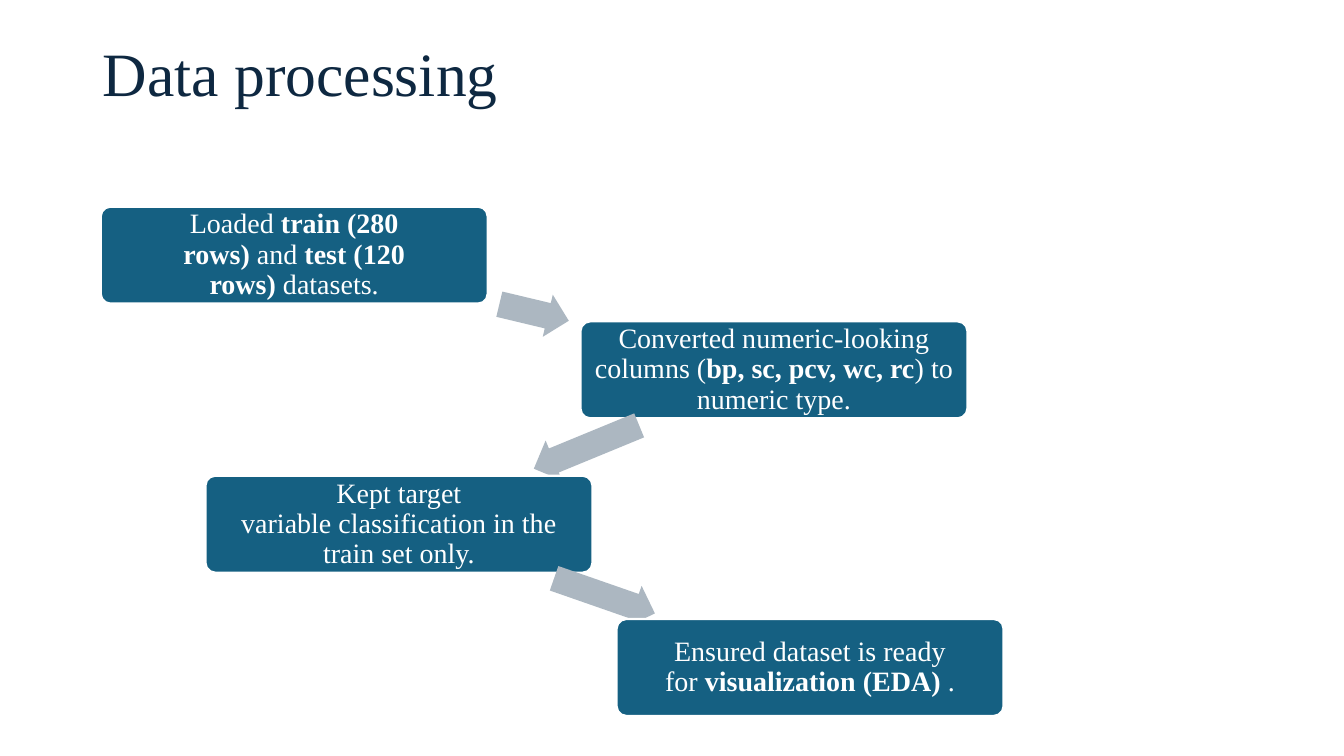
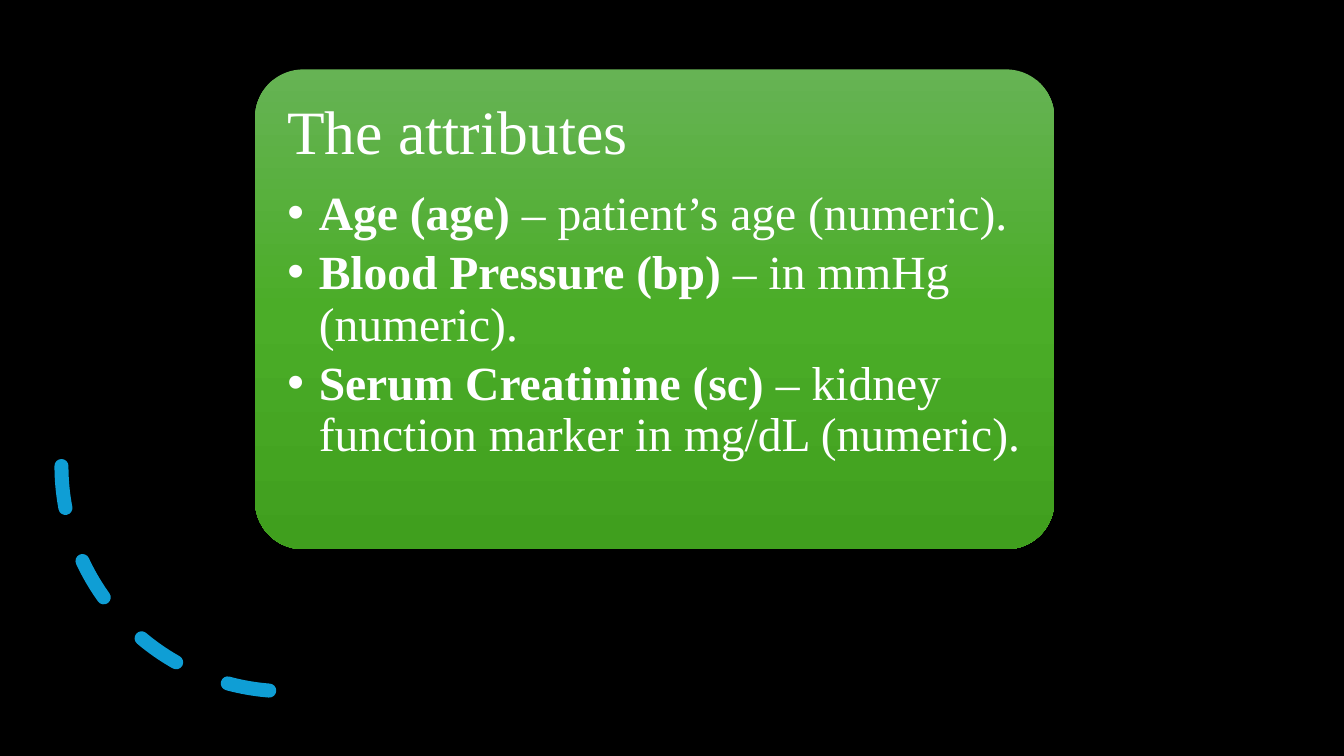
from dataclasses import dataclass
from itertools import pairwise
from math import atan2, degrees

from pptx import Presentation
from pptx.dml.color import RGBColor
from pptx.enum.dml import MSO_LINE
from pptx.enum.shapes import MSO_SHAPE
from pptx.enum.text import MSO_ANCHOR, MSO_AUTO_SIZE, PP_ALIGN
from pptx.oxml import parse_xml
from pptx.oxml.ns import nsdecls, qn
from pptx.util import Cm, Pt


@dataclass(frozen=True)
class Theme:
    font: str = "Times New Roman"
    navy: str = "0E2841"
    teal: str = "156082"
    grey: str = "ACB7C1"
    sky: str = "0F9ED5"
    white: str = "FFFFFF"
    black: str = "000000"
    greens: tuple = ((0, "66B354"), (50, "4BAD28"), (100, "409F1E"))
    title_size: int = 44
    step_size: int = 20
    bullet_size: int = 34
    line_spacing: float = 0.9


THEME = Theme()
PAGE_WIDTH, PAGE_HEIGHT = 33.87, 19.05
HARD_SPACE = chr(160)

STEPS = [
    (2.54, 5.21, [(f"Loaded{HARD_SPACE}", False), ("train (280 rows)", True),
                  (f"{HARD_SPACE}and{HARD_SPACE}", False), ("test (120 rows)", True),
                  (f"{HARD_SPACE}datasets.", False)]),
    (14.63, 8.1, [("Converted numeric-looking columns (", False),
                  ("bp, sc, pcv, wc, rc", True), (") to numeric type.", False)]),
    (5.18, 11.99, [(f"Kept target variable{HARD_SPACE}classification{HARD_SPACE}in "
                    "the train set only.", False)]),
    (15.54, 15.6, [(f"Ensured dataset is ready for{HARD_SPACE}", False),
                   ("visualization (EDA)", True), (f"{HARD_SPACE}.", False)]),
]
STEP_WIDTH, STEP_HEIGHT = 9.75, 2.44
ARROW_LENGTHS = [1.8, 2.87, 2.69]
ARROW_HEIGHT = 1.09

ATTRIBUTES = [
    ("Age (age)", " – patient’s age (numeric)."),
    ("Blood Pressure (bp)", " – in mmHg (numeric)."),
    ("Serum Creatinine (sc)", " – kidney function marker in mg/dL (numeric)."),
]


def color(value):
    return RGBColor.from_string(value)


def set_frame(frame, anchor, side, top):
    frame.word_wrap = True
    frame.auto_size = MSO_AUTO_SIZE.NONE
    frame.vertical_anchor = anchor
    frame.margin_left = frame.margin_right = frame.margin_bottom = Cm(side)
    frame.margin_top = Cm(top)


def write(para, spans, size, tint, align=PP_ALIGN.LEFT):
    para.alignment = align
    para.line_spacing = THEME.line_spacing
    for text, bold in spans:
        span = para.add_run()
        span.text = text
        span.font.name = THEME.font
        span.font.size = Pt(size)
        span.font.bold = bold
        span.font.color.rgb = color(tint)


def add_page(deck, title_text, left, top, width, tint):
    page = deck.slides.add_slide(deck.slide_layouts[5])
    title = page.shapes.title
    title.left, title.top, title.width, title.height = Cm(left), Cm(top), Cm(width), Cm(1.9)
    set_frame(title.text_frame, MSO_ANCHOR.TOP, 0, 0)
    write(title.text_frame.paragraphs[0], [(title_text, False)], THEME.title_size, tint)
    return page


def add_block(page, kind, left, top, width, height, fill=None):
    block = page.shapes.add_shape(kind, Cm(left), Cm(top), Cm(width), Cm(height))
    block.shadow.inherit = False
    block.line.fill.background()
    if fill:
        block.fill.solid()
        block.fill.fore_color.rgb = color(fill)
    else:
        block.fill.background()
    return block


def add_step(page, left, top, spans):
    box = add_block(page, MSO_SHAPE.ROUNDED_RECTANGLE, left, top,
                    STEP_WIDTH, STEP_HEIGHT, THEME.teal)
    box.adjustments[0] = 0.1
    box.line.color.rgb = color(THEME.white)
    box.line.width = Pt(1.5)
    set_frame(box.text_frame, MSO_ANCHOR.MIDDLE, 0.2, 0.2)
    write(box.text_frame.paragraphs[0], spans, THEME.step_size, THEME.white, PP_ALIGN.CENTER)


def add_step_arrow(page, start, end, length):
    middle_x = (start[0] + end[0] + STEP_WIDTH) / 2
    middle_y = (start[1] + end[1] + STEP_HEIGHT) / 2
    arrow = add_block(page, MSO_SHAPE.RIGHT_ARROW, middle_x - length / 2,
                      middle_y - ARROW_HEIGHT / 2, length, ARROW_HEIGHT, THEME.grey)
    arrow.adjustments[0] = 0.6
    arrow.adjustments[1] = 0.5
    arrow.rotation = degrees(atan2(end[1] - start[1], end[0] - start[0]))


def build_processing(deck):
    page = add_page(deck, "Data processing", 2.59, 1.09, 28.7, THEME.navy)
    add_step(page, *STEPS[0])
    for (start, end), length in zip(pairwise(STEPS), ARROW_LENGTHS):
        add_step_arrow(page, start, end, length)
        add_step(page, *end)


def add_dashed_arc(page):
    arc = add_block(page, MSO_SHAPE.ARC, 1.55, 6.07, 11.35, 11.35)
    arc.rotation = 90
    arc.line.color.rgb = color(THEME.sky)
    arc.line.width = Pt(10)
    arc.line.dash_style = MSO_LINE.DASH
    properties = arc.element.spPr
    properties.find(qn("a:xfrm")).set("flipV", "1")
    properties.find(qn("a:ln")).set("cap", "rnd")


def set_gradient(shape, stops):
    marks = "".join(f'<a:gs pos="{place * 1000}"><a:srgbClr val="{tint}"/></a:gs>'
                    for place, tint in stops)
    gradient = parse_xml(f'<a:gradFill {nsdecls("a")} rotWithShape="1"><a:gsLst>{marks}</a:gsLst>'
                         '<a:lin ang="5400000" scaled="0"/></a:gradFill>')
    properties = shape.element.spPr
    properties.replace(properties.find(qn("a:noFill")), gradient)


def add_bullet(para):
    properties = para._p.get_or_add_pPr()
    properties.set("marL", str(Cm(0.79)))
    properties.set("indent", str(-Cm(0.79)))
    for mark in ('buFont {} typeface="Arial"', 'buChar {} char="•"'):
        properties.append(parse_xml(f'<a:{mark.format(nsdecls("a"))}/>'))


def build_attributes(deck):
    page = add_page(deck, "The attributes", 7.24, 2.54, 18.52, THEME.white)
    add_block(page, MSO_SHAPE.RECTANGLE, 0, 0, PAGE_WIDTH, PAGE_HEIGHT, THEME.black)
    add_dashed_arc(page)
    card = add_block(page, MSO_SHAPE.ROUNDED_RECTANGLE, 6.43, 1.75, 20.14, 12.09)
    card.adjustments[0] = 0.1
    set_gradient(card, THEME.greens)
    frame = card.text_frame
    set_frame(frame, MSO_ANCHOR.TOP, 0.46, 2.67)
    for index, (name, meaning) in enumerate(ATTRIBUTES):
        para = frame.add_paragraph() if index else frame.paragraphs[0]
        add_bullet(para)
        para.space_after = Pt(5.5)
        write(para, [(name, True), (meaning, False)], THEME.bullet_size, THEME.white)
    title = page.shapes.title.element
    title.getparent().append(title)


def main():
    deck = Presentation()
    deck.slide_width, deck.slide_height = Cm(PAGE_WIDTH), Cm(PAGE_HEIGHT)
    build_processing(deck)
    build_attributes(deck)
    deck.save("out.pptx")


if __name__ == "__main__":
    main()
